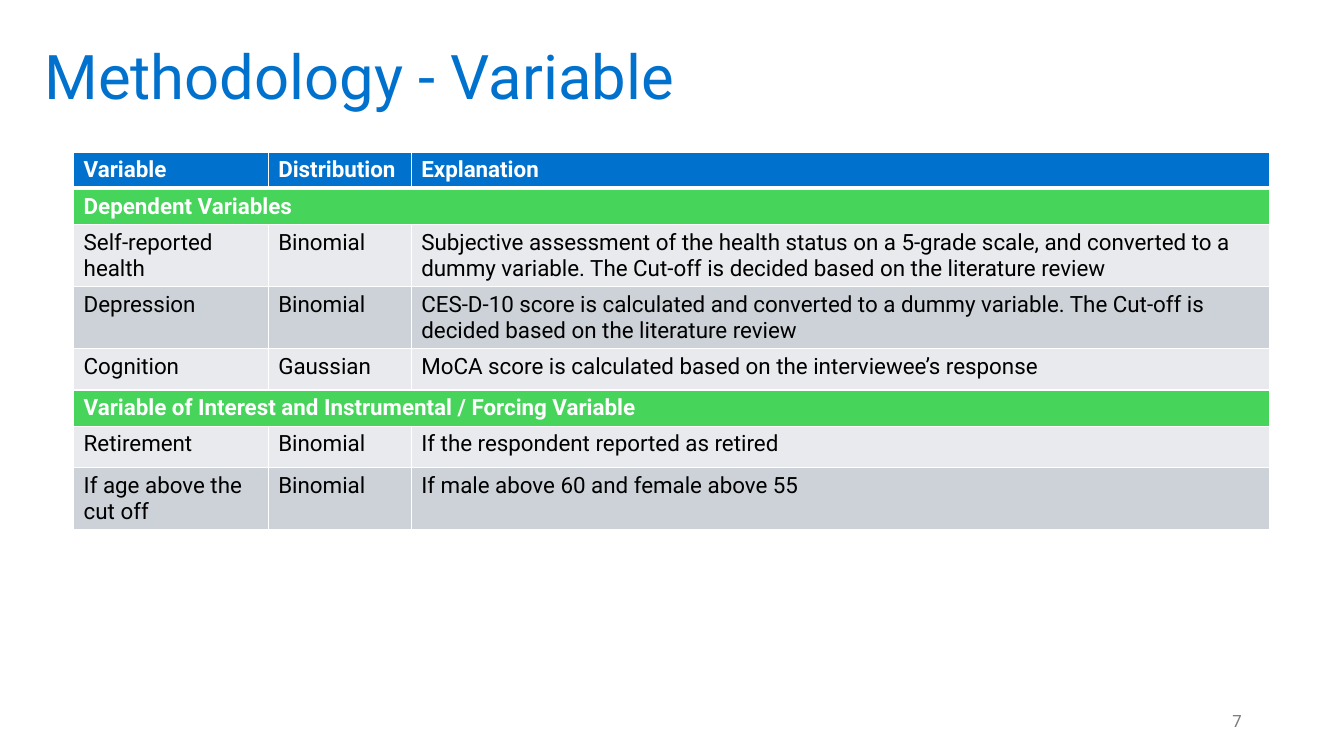
import pptx
import pptx.util
import pptx.dml.color
import pptx.enum.text
import pptx.oxml
import pptx.oxml.ns

Pt = pptx.util.Pt
Align = pptx.enum.text.PP_ALIGN
FONT = "Roboto"
BLUE, GREEN, WHITE, BLACK, GRAY = "0072CE", "47D45A", "FFFFFF", "000000", "797979"
BANDS = ("E8EAED", "CCD2D8")

HEAD = ["Variable", "Distribution", "Explanation"]
GROUPS = {
    "Dependent Variables": [
        ["Self-reported health", "Binomial",
         "Subjective assessment of the health status on a 5-grade scale, and converted "
         "to a dummy variable. The Cut-off is decided based on the literature review"],
        ["Depression", "Binomial",
         "CES-D-10 score is calculated and converted to a dummy variable. "
         "The Cut-off is decided based on the literature review"],
        ["Cognition", "Gaussian",
         "MoCA score is calculated based on the interviewee’s response"],
    ],
    "Variable of Interest and Instrumental / Forcing Variable": [
        ["Retirement", "Binomial", "If the respondent reported as retired"],
        ["If age above the cut off", "Binomial", "If male above 60 and female above 55"],
    ],
}
WIDTHS = (139, 102.2, 613.4)
BAR, LINE = 25.6, 29.4


def color(value):
    return pptx.dml.color.RGBColor.from_string(value)


def write(frame, text, hue, **form):
    frame.text = text
    par = frame.paragraphs[0]
    par.font.color.rgb = color(hue)
    for key, value in {"name": FONT, "bold": False, **form}.items():
        setattr(par.font, key, value)
    return par


def place(shape, box):
    for key, value in zip(("left", "top", "width", "height"), box):
        setattr(shape, key, Pt(value))


def center(frame):
    for key, value in {"word_wrap": True,
                       "auto_size": pptx.enum.text.MSO_AUTO_SIZE.NONE,
                       "vertical_anchor": pptx.enum.text.MSO_ANCHOR.MIDDLE}.items():
        setattr(frame, key, value)


def add_title(slide, box):
    title = slide.shapes.title
    place(title, box)
    center(title.text_frame)
    par = write(title.text_frame, "Methodology - Variable", BLUE, size=Pt(44))
    par.alignment = Align.LEFT
    par.line_spacing = 0.9


def add_number(slide, box):
    label = slide.shapes.add_textbox(*map(Pt, box))
    center(label.text_frame)
    par = write(label.text_frame, "7", GRAY, size=Pt(12))
    par.alignment = Align.RIGHT


def edge(cell, base):
    """Draw white cell borders, with the given width in points at the base."""
    props = cell._tc.get_or_add_tcPr()
    for side, width in {"L": 1, "R": 1, "T": 1, "B": base}.items():
        props.append(pptx.oxml.parse_xml(
            f'<a:ln{side} {pptx.oxml.ns.nsdecls("a")} w="{Pt(width)}">'
            f'<a:solidFill><a:srgbClr val="{WHITE}"/></a:solidFill></a:ln{side}>'))


def fill_row(table, row, texts, fill, hue, bold, base=1):
    for col, text in enumerate(texts):
        cell = table.cell(row, col)
        edge(cell, base)
        cell.fill.solid()
        cell.fill.fore_color.rgb = color(fill)
        write(cell.text_frame, text, hue, size=Pt(16), bold=bold)


def add_grid(slide, left, top):
    rows = [(HEAD, BLUE, BAR)]
    for name, items in GROUPS.items():
        rows.append(([name, "", ""], GREEN, BAR))
        for i, item in enumerate(items):
            tall = len(item[0]) > 16 or len(item[2]) > 80
            rows.append((item, BANDS[i % 2], 44.4 if tall else LINE))
    high = sum(row[2] for row in rows)
    table = slide.shapes.add_table(len(rows), len(WIDTHS), Pt(left), Pt(top),
                                   Pt(sum(WIDTHS)), Pt(high)).table
    for col, width in zip(table.columns, WIDTHS):
        col.width = Pt(width)
    for i, (texts, fill, height) in enumerate(rows):
        table.rows[i].height = Pt(height)
        bar = fill not in BANDS
        fill_row(table, i, texts, fill, WHITE if bar else BLACK, bar,
                 3 if i == 0 else 1)
        if fill == GREEN:
            table.cell(i, 0).merge(table.cell(i, len(WIDTHS) - 1))


def main():
    deck = pptx.Presentation()
    deck.slide_width, deck.slide_height = Pt(960), Pt(540)
    slide = deck.slides.add_slide(deck.slide_layouts[5])
    add_title(slide, (24.5, 4.3, 828, 104.4))
    add_number(slide, (678.2, 500.4, 216, 28.8))
    add_grid(slide, 52.6, 108.7)
    deck.save("out.pptx")


if __name__ == "__main__":
    main()
